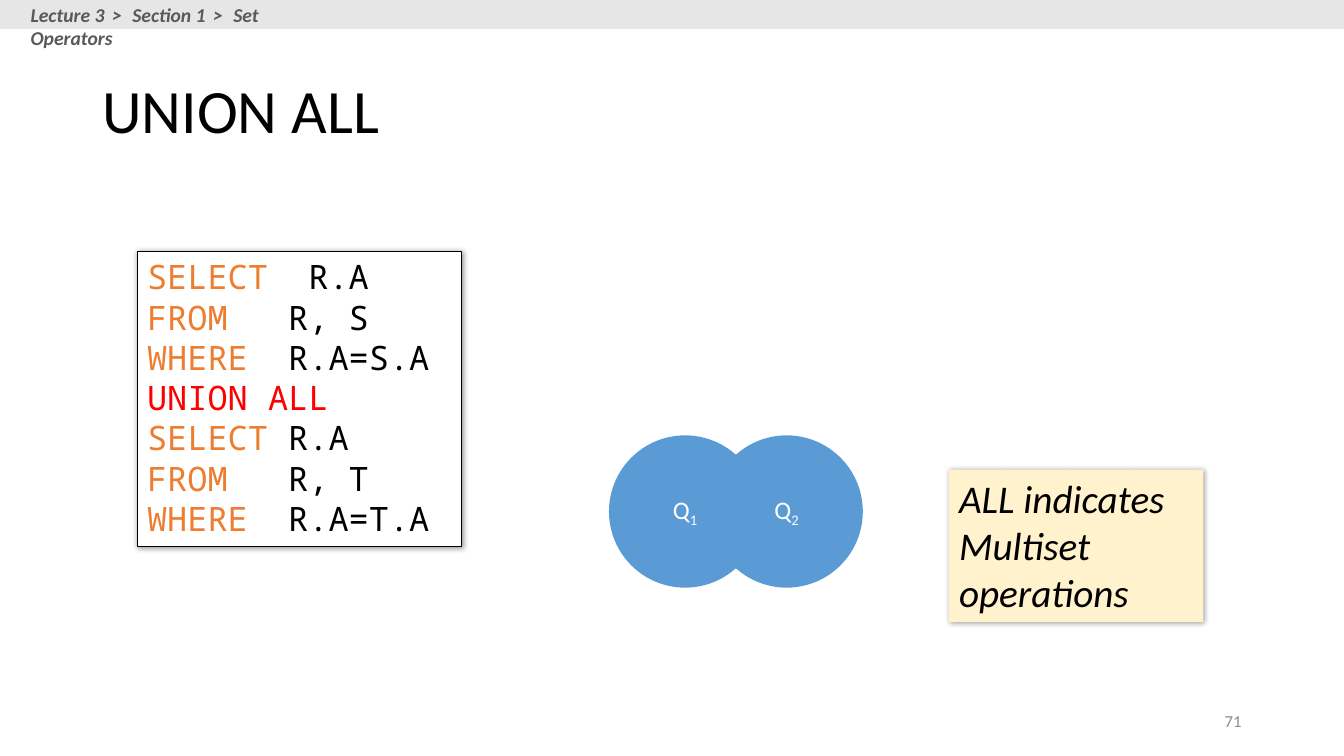
import pptx
import pptx.dml.color
import pptx.enum.shapes
import pptx.enum.text
import pptx.oxml
import pptx.util

Pt = pptx.util.Pt
SHAPE = pptx.enum.shapes.MSO_SHAPE
ALIGN = pptx.enum.text.PP_ALIGN
ANCHOR = pptx.enum.text.MSO_ANCHOR
FIT = pptx.enum.text.MSO_AUTO_SIZE

TITLE = "UNION ALL"
BREADCRUMB = ["Lecture 3", "Section 1", "Set Operators"]
QUERY = [  # (keyword, kind, rest of the line)
    ("SELECT", "keyword", "  R.A"),
    ("FROM", "keyword", "   R, S"),
    ("WHERE", "keyword", "  R.A=S.A"),
    ("UNION ALL", "operator", ""),
    ("SELECT", "keyword", " R.A"),
    ("FROM", "keyword", "   R, T"),
    ("WHERE", "keyword", "  R.A=T.A"),
]
SETS = ["1", "2"]
NOTE = "ALL indicates Multiset operations"
PAGE = "71"

THEME = {
    "font": "Calibri", "mono": "Noto Sans Mono",
    "text": "000000", "white": "FFFFFF", "bar": "E7E6E6",
    "crumb": "595959", "page": "8C8C8C", "set": "5B9BD5", "note": "FFF2CC",
    "keyword": "ED7D31", "operator": "FF0000",
    "title_size": 44, "note_size": 28, "code_size": 24,
    "set_size": 18, "crumb_size": 14, "page_size": 12,
}

SLIDE_W, SLIDE_H = 960, 540
CIRCLE = 108.8
CIRCLE_LEFT, CIRCLE_TOP = 435, 311
CIRCLE_STEP = CIRCLE * 2 / 3

SHADOW = (
    '<a:effectLst xmlns:a="http://schemas.openxmlformats.org/drawingml/2006/main">'
    '<a:outerShdw blurRad="50800" dist="12700" dir="2700000" algn="tl" rotWithShape="0">'
    '<a:srgbClr val="000000"><a:alpha val="40000"/></a:srgbClr>'
    '</a:outerShdw></a:effectLst>'
)


def rgb(name):
    return pptx.dml.color.RGBColor.from_string(THEME[name])


def add_run(p, text, size, color="text", font="font", bold=False, italic=False):
    r = p.add_run()
    r.text = text
    r.font.name = THEME[font]
    r.font.size = Pt(THEME[size])
    r.font.color.rgb = rgb(color)
    r.font.bold = bold
    r.font.italic = italic
    return r


def add_box(slide, kind, box, fill, line=None, shadow=False):
    sp = slide.shapes.add_shape(kind, *map(Pt, box))
    sp.fill.solid()
    sp.fill.fore_color.rgb = rgb(fill)
    if line:
        sp.line.color.rgb = rgb(line)
        sp.line.width = Pt(0.75)
    else:
        sp.line.fill.background()
    sp.shadow.inherit = False
    if shadow:
        empty = sp.shadow._element.effectLst
        empty.getparent().replace(empty, pptx.oxml.parse_xml(SHADOW))
    return sp


def set_frame(sp, anchor=ANCHOR.TOP, align=ALIGN.LEFT, fit=FIT.NONE):
    """Set wrapping, anchor and fit; return the frame and its first paragraph."""
    tf = sp.text_frame
    tf.word_wrap = True
    tf.vertical_anchor = anchor
    tf.auto_size = fit
    p = tf.paragraphs[0]
    p.alignment = align
    return tf, p


def add_title(slide):
    sp = slide.shapes.title
    sp.left, sp.top, sp.width, sp.height = map(Pt, (66, 28.75, 828, 104.4))
    tf, p = set_frame(sp, ANCHOR.MIDDLE)
    p.line_spacing = 0.9
    add_run(p, TITLE, "title_size")


def add_page_number(slide):
    sp = slide.shapes.add_textbox(*map(Pt, (678, 500.5, 216, 28.75)))
    tf, p = set_frame(sp, ANCHOR.MIDDLE, ALIGN.RIGHT)
    add_run(p, PAGE, "page_size", "page")


def add_query(slide):
    sp = add_box(slide, SHAPE.RECTANGLE, (98, 179.4, 232, 211), "white", "text", True)
    tf, p = set_frame(sp, fit=FIT.SHAPE_TO_FIT_TEXT)
    for i, (word, kind, rest) in enumerate(QUERY):
        if i:
            p = tf.add_paragraph()
            p.alignment = ALIGN.LEFT
        add_run(p, word, "code_size", kind, "mono")
        if rest:
            add_run(p, rest, "code_size", "text", "mono")


def add_breadcrumb(slide):
    add_box(slide, SHAPE.RECTANGLE, (0, 0, SLIDE_W, 20.7), "bar")
    sp = slide.shapes.add_textbox(*map(Pt, (14.8, -1.6, 235.4, 24.2)))
    tf, p = set_frame(sp)
    for i, part in enumerate(BREADCRUMB):
        if i:
            r = add_run(p, " > ", "crumb_size", "crumb", bold=True, italic=True)
            r.font._element.set("spc", "210")
        add_run(p, part, "crumb_size", "crumb", bold=True, italic=True)


def add_sets(slide):
    for i, index in enumerate(SETS):
        box = (CIRCLE_LEFT + i * CIRCLE_STEP, CIRCLE_TOP, CIRCLE, CIRCLE)
        sp = add_box(slide, SHAPE.OVAL, box, "set")
        tf, p = set_frame(sp, ANCHOR.MIDDLE, ALIGN.CENTER)
        add_run(p, "Q", "set_size", "white")
        r = add_run(p, index, "set_size", "white")
        r.font._element.set("baseline", "-25000")


def add_note(slide):
    sp = add_box(slide, SHAPE.RECTANGLE, (678, 335.4, 181.6, 109), "note", shadow=True)
    tf, p = set_frame(sp, fit=FIT.SHAPE_TO_FIT_TEXT)
    add_run(p, NOTE, "note_size", italic=True)


def main():
    prs = pptx.Presentation()
    prs.slide_width, prs.slide_height = Pt(SLIDE_W), Pt(SLIDE_H)
    slide = prs.slides.add_slide(prs.slide_layouts.get_by_name("Title Only"))
    for add_part in (add_title, add_page_number, add_query,
                     add_breadcrumb, add_sets, add_note):
        add_part(slide)
    prs.save("out.pptx")


if __name__ == "__main__":
    main()
